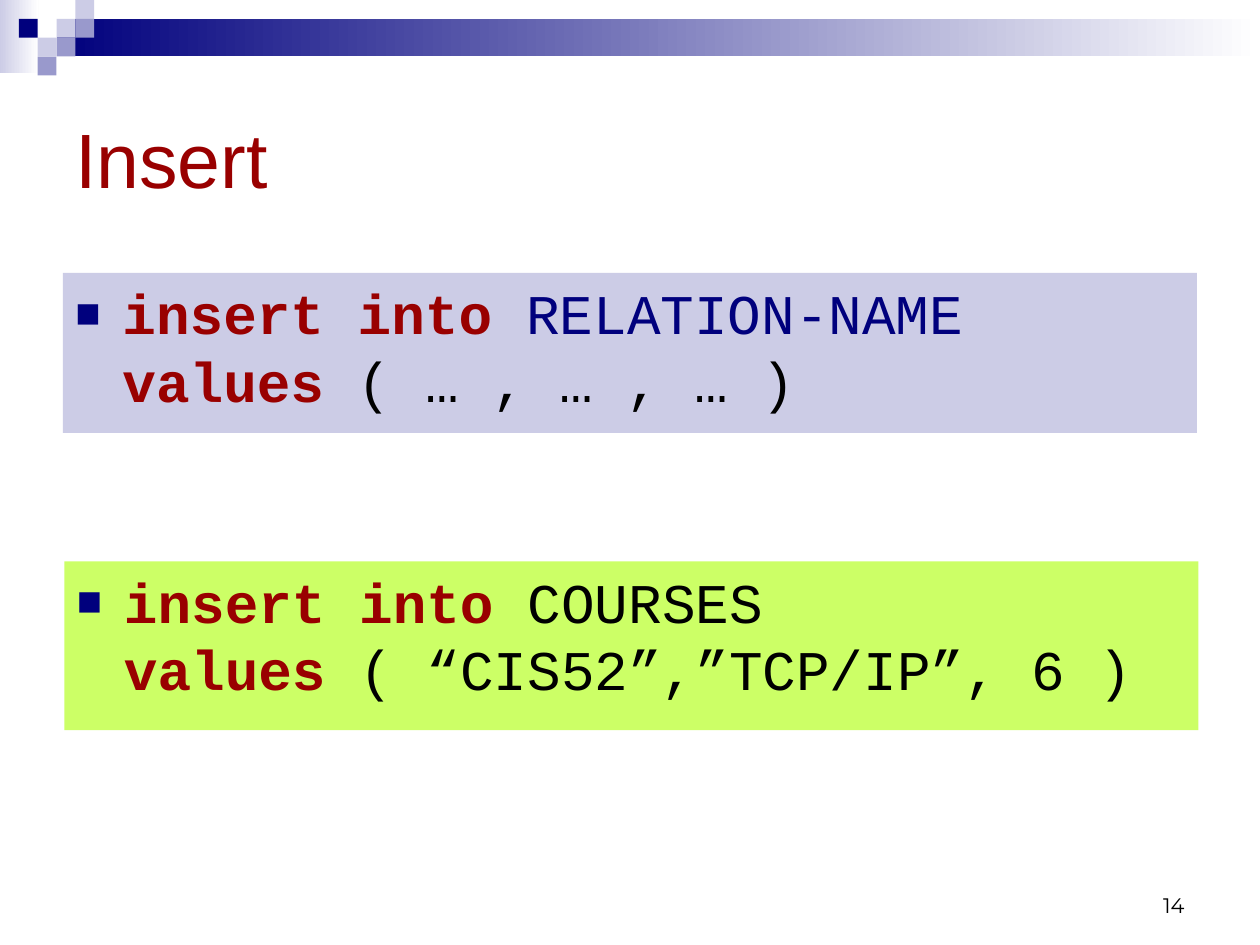
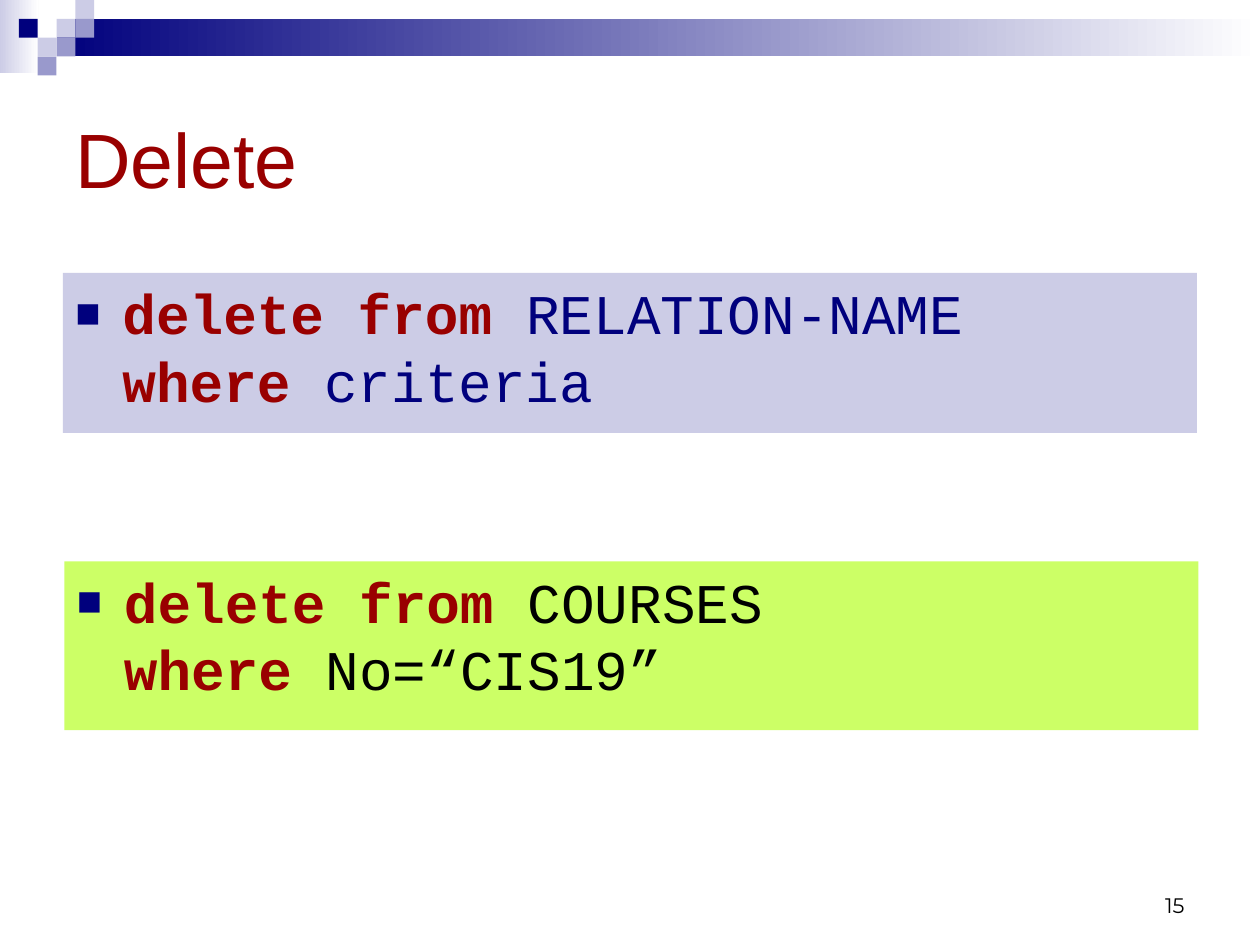
from dataclasses import dataclass

from lxml import etree
from pptx import Presentation
from pptx.dml.color import RGBColor
from pptx.enum import shapes, text
from pptx.oxml import ns
from pptx.util import Cm, Pt


@dataclass(frozen=True)
class Theme:
    navy: str = "00007D"
    lilac: str = "CCCCE6"
    violet: str = "9999CC"
    lime: str = "CCFF66"
    red: str = "990000"
    black: str = "000000"
    white: str = "FFFFFF"
    title_font: str = "Arial"
    code_font: str = "Courier New"
    number_font: str = "Montserrat"
    title_size: int = 44
    code_size: int = 32
    number_size: int = 12


THEME = Theme()
TILE = 0.38
# Column and row of each tile in the corner, with its colour
TILES = [
    (3, 1, THEME.lilac), (4, 0, THEME.lilac), (4, 1, THEME.violet),
    (2, 2, THEME.lilac), (1, 1, THEME.navy), (3, 2, THEME.violet),
    (2, 3, THEME.violet),
]


class Deck:
    def __init__(self, theme):
        self.theme = theme
        self.presentation = Presentation()
        self.presentation.slide_width = Cm(25.4)
        self.presentation.slide_height = Cm(19.05)
        self.slide = None

    def new_slide(self, title, number):
        blank = self.presentation.slide_layouts[6]
        self.slide = self.presentation.slides.add_slide(blank)
        self.corner()
        self.label(title, (1.27, 1.27, 22.86, 3.81), self.theme.title_font,
                   self.theme.title_size, self.theme.red,
                   text.MSO_ANCHOR.MIDDLE, text.PP_ALIGN.LEFT)
        self.label(str(number), (18.21, 17.35, 5.92, 1.27), self.theme.number_font,
                   self.theme.number_size, self.theme.black,
                   text.MSO_ANCHOR.BOTTOM, text.PP_ALIGN.RIGHT)

    def rectangle(self, box, *colours):
        """Fill with one colour, or fade from left to right between two."""
        rect = self.slide.shapes.add_shape(
            shapes.MSO_SHAPE.RECTANGLE, *map(Cm, box))
        rect.shadow.inherit = False
        rect.line.fill.background()
        if len(colours) == 1:
            rect.fill.solid()
            rect.fill.fore_color.rgb = RGBColor.from_string(colours[0])
        else:
            rect.fill.gradient()
            rect.fill.gradient_angle = 0
            for stop, place, colour in zip(rect.fill.gradient_stops, (0, 1), colours):
                stop.position = place
                stop.color.rgb = RGBColor.from_string(colour)
        return rect

    def corner(self):
        self.rectangle((0, 0, 0.78, 1.47), self.theme.lilac, self.theme.white)
        self.rectangle((3 * TILE, TILE, 25.4 - 3 * TILE, 2 * TILE),
                       self.theme.navy, self.theme.white)
        for column, row, colour in TILES:
            self.rectangle((column * TILE, row * TILE, TILE, TILE), colour)

    def label(self, words, box, font, size, colour, anchor, alignment):
        frame = self.slide.shapes.add_textbox(*map(Cm, box)).text_frame
        frame.word_wrap = True
        frame.vertical_anchor = anchor
        paragraph = frame.paragraphs[0]
        paragraph.text = words
        paragraph.alignment = alignment
        paragraph.font.name = font
        paragraph.font.size = Pt(size)
        paragraph.font.color.rgb = RGBColor.from_string(colour)

    def statement(self, box, background, lines, colour):
        """Show SQL lines as one bullet; each line is (keyword, rest, rest's colour)."""
        frame = self.rectangle(box, background).text_frame
        frame.word_wrap = True
        frame.vertical_anchor = text.MSO_ANCHOR.TOP
        paragraph = frame.paragraphs[0]
        paragraph.alignment = text.PP_ALIGN.LEFT
        paragraph.space_before = Pt(8)
        paragraph.font.name = self.theme.code_font
        paragraph.font.size = Pt(self.theme.code_size)
        self.bullet(paragraph)
        for index, (keyword, rest, rest_colour) in enumerate(lines):
            if index:
                paragraph.add_line_break()
            for words, ink, bold in ((keyword, self.theme.red, True),
                                     (" " + rest, rest_colour or colour, False)):
                run = paragraph.add_run()
                run.text = words
                run.font.bold = bold
                run.font.color.rgb = RGBColor.from_string(ink)

    def bullet(self, paragraph):
        properties = paragraph._p.get_or_add_pPr()
        properties.set("marL", str(Cm(0.95)))
        properties.set("indent", str(-Cm(0.95)))
        marks = [
            etree.Element(ns.qn("a:buClr")),
            etree.Element(ns.qn("a:buSzPct"), val="75000"),
            etree.Element(ns.qn("a:buFont"), typeface=self.theme.title_font),
            etree.Element(ns.qn("a:buChar"), char="■"),
        ]
        etree.SubElement(marks[0], ns.qn("a:srgbClr"), val=self.theme.navy)
        defaults = properties.find(ns.qn("a:defRPr"))
        for mark in marks:
            defaults.addprevious(mark)

    def syntax(self, *lines):
        self.statement((1.27, 5.5, 22.86, 3.23), self.theme.lilac, lines, self.theme.navy)

    def example(self, *lines):
        self.statement((1.3, 11.32, 22.86, 3.4), self.theme.lime, lines, self.theme.black)


def main():
    deck = Deck(THEME)

    deck.new_slide("Insert", 14)
    deck.syntax(("insert into", "RELATION-NAME", None),
                ("values", "( … , … , … )", THEME.black))
    deck.example(("insert into", "COURSES", None),
                 ("values", "( “CIS52”,”TCP/IP”, 6 )", None))

    deck.new_slide("Delete", 15)
    deck.syntax(("delete from", "RELATION-NAME", None),
                ("where", "criteria", None))
    deck.example(("delete from", "COURSES", None),
                 ("where", "No=“CIS19”", None))

    deck.presentation.save("out.pptx")


if __name__ == "__main__":
    main()
